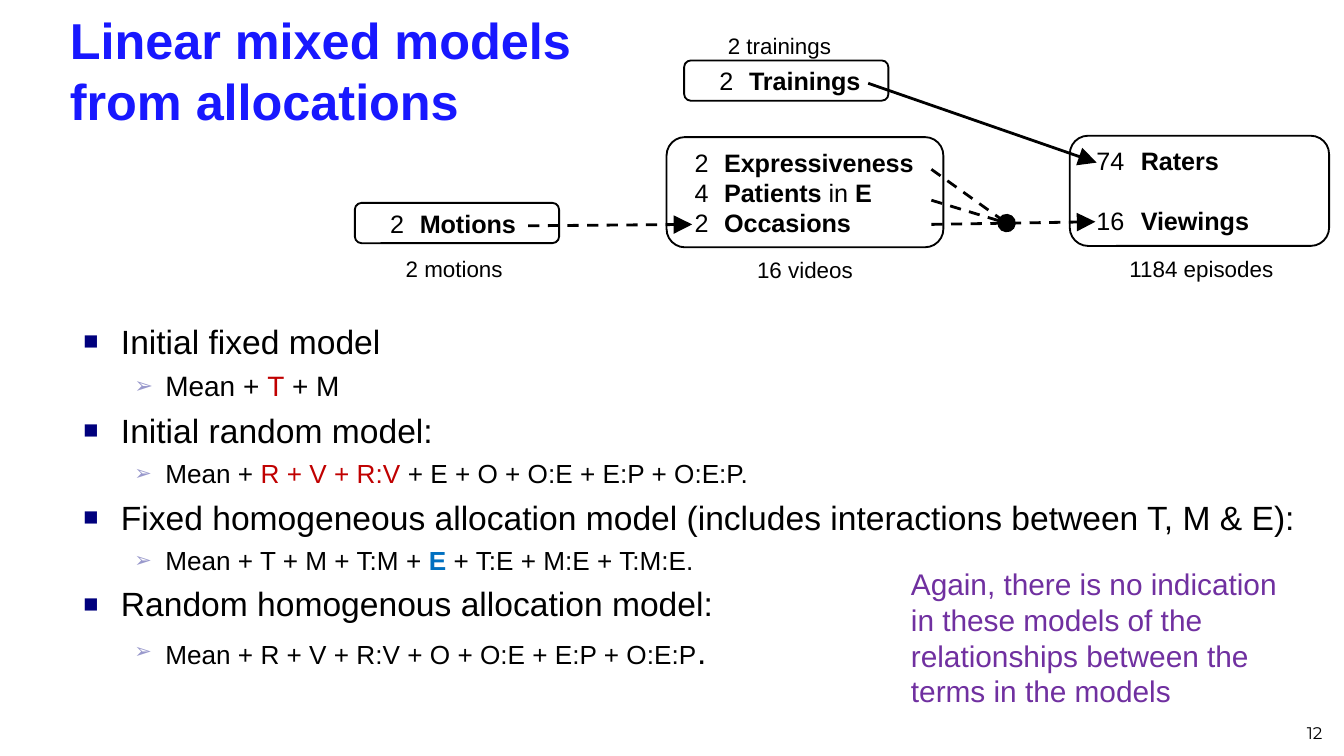
from lxml import etree
from pptx import Presentation
from pptx.dml.color import RGBColor
from pptx.enum.dml import MSO_LINE_DASH_STYLE as Dash
from pptx.enum.shapes import MSO_CONNECTOR as Conn, MSO_SHAPE as Shape
from pptx.enum.text import MSO_ANCHOR as Anchor, PP_ALIGN as Align
from pptx.oxml.ns import qn
from pptx.util import Inches, Pt

BLACK, RED, BLUE = "000000", "C00000", "0070C0"
TITLE = "Linear mixed models from allocations"
NOTE = ("Again, there is no indication in these models of the "
        "relationships between the terms in the models")

# heading, size of the formula, formula runs: text, then any changed style
MODELS = [
    ("Initial fixed model", 15,
     [("Mean + ", {}), ("T", {"color": RED}), (" + M", {})]),
    ("Initial random model:", 14,
     [("Mean + ", {}), ("R + V + R:V", {"color": RED}),
      (" + E + O + O:E + E:P + O:E:P.", {})]),
    ("Fixed homogeneous allocation model (includes interactions between T, M & E):", 14,
     [("Mean + T + M + T:M + ", {}), ("E", {"color": BLUE, "bold": True}),
      (" + T:E + M:E + T:M:E.", {})]),
    ("Random homogenous allocation model:", 14,
     [("Mean + R + V + R:V + O + O:E + E:P + O:E:P", {}), (".", {"size": 18})]),
]
# bullet sign, colour, size in percent, left margin, hanging indent
HEAD = ("■", "00007D", 75, 0.28, 0.28)
ITEM = ("➢", "9999CC", 80, 0.61, 0.23)

# box, left margin and hang, gap between lines, rows of factors (bold parts flagged)
PANELS = [
    ((2.64, 1.51, 1.52, 0.3), 0.37, 0.22, 0, [("2", [("Motions", True)])]),
    ((4.96, 1.02, 2.06, 0.82), 0.29, 0.22, 0, [
        ("2", [("Expressiveness", True)]),
        ("4", [("Patients", True), (" in ", False), ("E", True)]),
        ("2", [("Occasions", True)])]),
    ((7.96, 1.01, 1.93, 0.82), 0.39, 0.33, 16, [
        ("74", [("Raters", True)]), ("16", [("Viewings", True)])]),
    ((5.09, 0.45, 1.52, 0.3), 0.37, 0.22, 0, [("2", [("Trainings", True)])]),
]
LABELS = [("2 motions", 2.6, 1.85), ("16 videos", 5.21, 1.86),
          ("1184 episodes", 8.16, 1.85), ("2 trainings", 5.02, 0.19)]
# start, end, dashed, arrowhead
NODE = (7.49, 1.66)
LINES = [
    ((3.93, 1.68), (5.15, 1.67), True, "triangle"),
    ((6.46, 0.62), (8.16, 1.21), False, "triangle"),
    ((6.93, 1.67), (8.15, 1.65), True, "triangle"),
    ((6.93, 1.26), NODE, True, "oval"),
    ((6.93, 1.49), NODE, True, None),
]

deck = Presentation()
deck.slide_width = Inches(10)
deck.slide_height = deck.slide_width * 9 // 16
slide = deck.slides.add_slide(deck.slide_layouts[6])
shapes = slide.shapes


def rgb(code):
    return RGBColor.from_string(code)


def add_run(para, text, size, color=BLACK, bold=False, font="Arial"):
    run = para.add_run()
    run.text = text
    run.font.size, run.font.name, run.font.bold = Pt(size), font, bold
    run.font.color.rgb = rgb(color)


def add_box(box, pad=(0.1, 0.05), anchor=Anchor.TOP):
    """Add a wrapping text box and return its frame."""
    frame = shapes.add_textbox(*map(Inches, box)).text_frame
    frame.word_wrap, frame.vertical_anchor = True, anchor
    frame.margin_left = frame.margin_right = Inches(pad[0])
    frame.margin_top = frame.margin_bottom = Inches(pad[1])
    return frame


def next_para(frame, index):
    return frame.add_paragraph() if index else frame.paragraphs[0]


def indent(para, left, hang):
    props = para._p.get_or_add_pPr()
    props.set("marL", str(Inches(left)))
    props.set("indent", str(-Inches(hang)))
    return props


def add_bullet(para, sign, color, share, left, hang):
    props = indent(para, left, hang)
    fill = etree.SubElement(props, qn("a:buClr"))
    etree.SubElement(fill, qn("a:srgbClr"), val=color)
    etree.SubElement(props, qn("a:buSzPct"), val=str(share * 1000))
    etree.SubElement(props, qn("a:buFont"), typeface="Arial")
    etree.SubElement(props, qn("a:buChar"), char=sign)


def add_panel(box, left, hang, gap, rows):
    """Add a rounded box that lists factors with their numbers of levels."""
    panel = shapes.add_shape(Shape.ROUNDED_RECTANGLE, *map(Inches, box))
    panel.shadow.inherit = False
    panel.fill.background()
    panel.line.color.rgb, panel.line.width = rgb(BLACK), Pt(1)
    frame = panel.text_frame
    frame.word_wrap, frame.vertical_anchor = True, Anchor.MIDDLE
    for i, (count, parts) in enumerate(rows):
        para = next_para(frame, i)
        para.alignment = Align.LEFT
        para.space_before = Pt(gap if i else 0)
        indent(para, left, hang)
        add_run(para, count + "\t", 13.5)
        for text, bold in parts:
            add_run(para, text, 13.5, bold=bold)


def add_line(start, end, dashed, head):
    line = shapes.add_connector(Conn.STRAIGHT, *map(Inches, start + end))
    line.line.color.rgb, line.line.width = rgb(BLACK), Pt(1.5)
    if dashed:
        line.line.dash_style = Dash.DASH
    if head:
        etree.SubElement(line.line._get_or_add_ln(), qn("a:tailEnd"),
                         type=head, w="lg", len="lg")
    etree.SubElement(line._element.spPr, qn("a:effectLst"))


PAD = (0.07, 0.04)
title = add_box((0.45, 0.1, 4.3, 0.84), PAD, Anchor.MIDDLE)
add_run(title.paragraphs[0], TITLE, 27, "1818FF", True)

number = add_box((7.58, 5.19, 2.33, 0.38), PAD, Anchor.BOTTOM).paragraphs[0]
number.alignment = Align.RIGHT
add_run(number, "12", 9, font="Montserrat")

body = add_box((0.55, 2.35, 9.21, 3.23), PAD)
for i, (heading, size, parts) in enumerate(MODELS):
    head, item = next_para(body, i), body.add_paragraph()
    item.level = 1
    for para, style in ((head, HEAD), (item, ITEM)):
        para.space_before = Pt(4)
        add_bullet(para, *style)
    add_run(head, heading, 18)
    for text, style in parts:
        add_run(item, text, **{"size": size, **style})

for panel in PANELS:
    add_panel(*panel)
for text, left, top in LABELS:
    label = add_box((left, top, 1.56, 0.3)).paragraphs[0]
    label.alignment = Align.CENTER
    add_run(label, text, 12)
for line in LINES:
    add_line(*line)

note = add_box((6.68, 4.16, 2.96, 1.22))
add_run(note.paragraphs[0], NOTE, 16, "7030A0")

deck.save("out.pptx")
